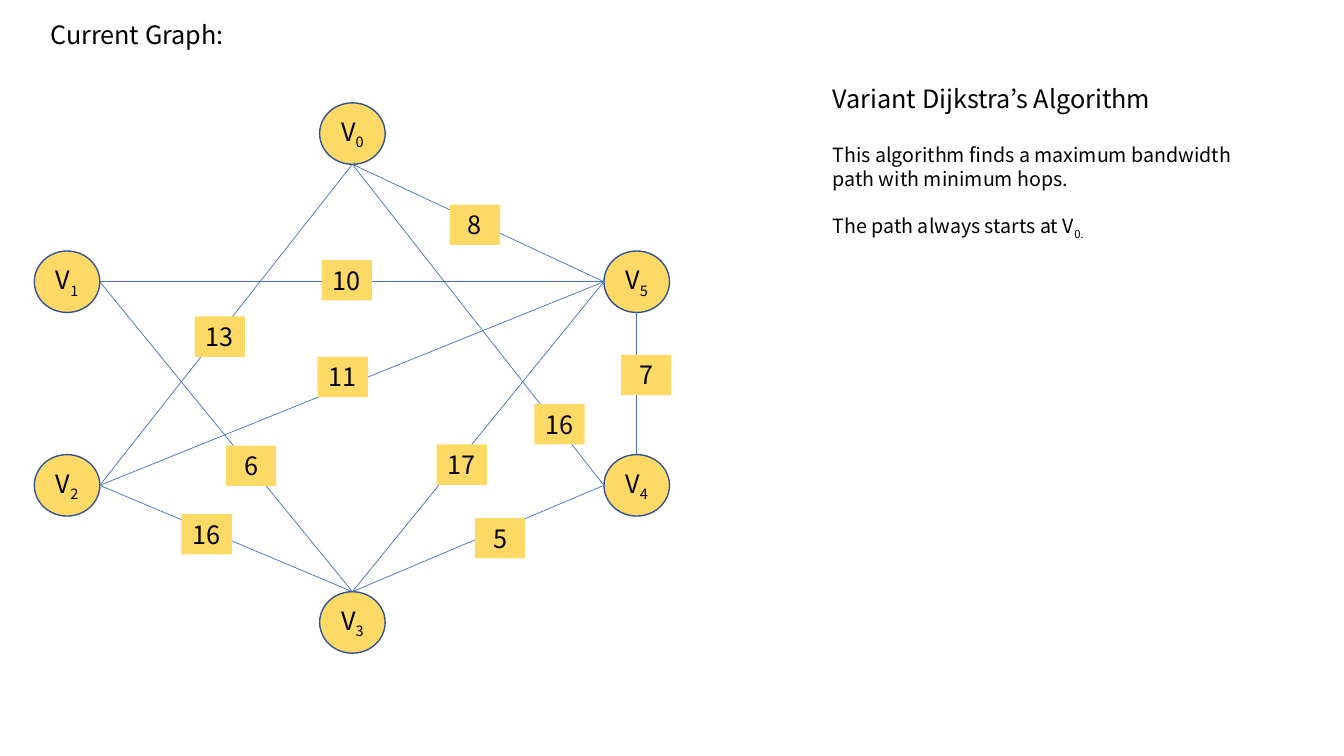
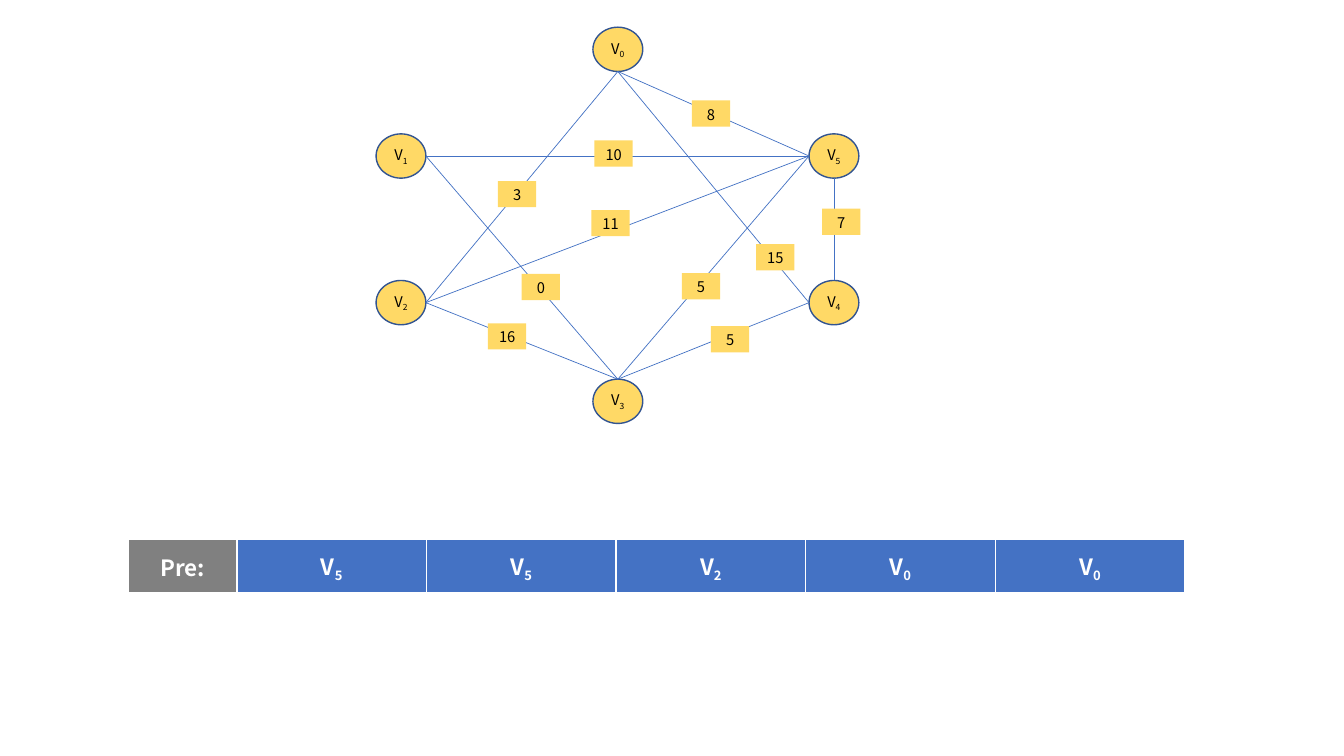
from lxml import etree
from pptx import Presentation
from pptx.dml.color import RGBColor
from pptx.enum.shapes import MSO_CONNECTOR, MSO_SHAPE
from pptx.enum.text import MSO_ANCHOR, MSO_AUTO_SIZE, PP_ALIGN
from pptx.oxml import parse_xml
from pptx.oxml.ns import nsdecls, qn
from pptx.util import Inches, Pt

OVAL = MSO_SHAPE.OVAL
STRAIGHT = MSO_CONNECTOR.STRAIGHT
MIDDLE = MSO_ANCHOR.MIDDLE
GROW = MSO_AUTO_SIZE.SHAPE_TO_FIT_TEXT
CENTER = PP_ALIGN.CENTER

FONT = "Noto Sans CJK JP"
YELLOW, OUTLINE, BLUE, GRAY = "FFD966", "325491", "4472C4", "808080"
BLACK, WHITE = "000000", "FFFFFF"


def paint(fill, color):
    fill.solid()
    fill.fore_color.rgb = RGBColor.from_string(color)


def write(para, text, subscript="", size=18, color=BLACK, bold=False):
    para.text = text
    if subscript:
        span = para.add_run()
        span.text = subscript
        span.font._element.set("baseline", "-25000")
    for span in para.runs:
        span.font.name = FONT
        span.font.size = Pt(size)
        span.font.bold = bold
        paint(span.font.fill, color)


# Graph layout, measured from the top left corner of the drawing
NODES = [(2.83, 0), (0, 1.47), (0, 3.49), (2.83, 4.85), (5.65, 3.49), (5.65, 1.47)]
# Points on a node's outline, as shares of its width and height
TOP, LEFT, BOTTOM, RIGHT = (0.5, 0), (0, 0.5), (0.5, 1), (1, 0.5)
# Each edge: start node and side, end node and side, corner of the weight label
EDGES = [
    (3, TOP, 2, RIGHT, 1.46, 4.08),
    (1, RIGHT, 3, TOP, 1.9, 3.4),
    (5, LEFT, 2, RIGHT, 2.81, 2.52),
    (0, BOTTOM, 2, RIGHT, 1.59, 2.12),
    (1, RIGHT, 5, LEFT, 2.85, 1.56),
    (4, TOP, 5, BOTTOM, 5.82, 2.5),
    (0, BOTTOM, 4, LEFT, 4.96, 2.99),
    (3, TOP, 5, LEFT, 3.99, 3.39),
    (3, TOP, 4, LEFT, 4.37, 4.12),
    (0, BOTTOM, 5, LEFT, 4.12, 1.01),
]
# Each graph: origin, scale across and down, text size, label height, weights
GRAPHS = [
    (0.34, 1.02, 1, 1, 18, 0.4, [16, 6, 11, 13, 10, 7, 16, 17, 5, 8]),
    (3.73, 0.27, 0.76, 0.72, 10.5, 0.26, [16, 0, 11, 3, 10, 7, 15, 5, 5, 8]),
]
NODE_WIDTH, NODE_HEIGHT, LABEL_WIDTH = 0.65, 0.61, 0.5

deck = Presentation()
deck.slide_width, deck.slide_height = Inches(13.33), Inches(7.5)
pages = [deck.slides.add_slide(deck.slide_layouts[6]) for _ in GRAPHS]

# Graph on each page
for page, graph in zip(pages, GRAPHS):
    left, top, across, down, size, label_height, weights = graph
    shapes = page.shapes.add_group_shape().shapes

    for number, (x, y) in enumerate(NODES):
        node = shapes.add_shape(
            OVAL, Inches(left + x * across), Inches(top + y * down),
            Inches(NODE_WIDTH * across), Inches(NODE_HEIGHT * down))
        node.shadow.inherit = False
        paint(node.fill, YELLOW)
        paint(node.line.fill, OUTLINE)
        node.line.width = Pt(1)
        frame = node.text_frame
        frame.word_wrap = False
        frame.vertical_anchor = MIDDLE
        write(frame.paragraphs[0], "V", str(number), size)
        frame.paragraphs[0].alignment = CENTER

    for start, start_side, end, end_side, _, _ in EDGES:
        ends = []
        for number, side in ((start, start_side), (end, end_side)):
            x, y = NODES[number]
            ends += [Inches(left + (x + side[0] * NODE_WIDTH) * across),
                     Inches(top + (y + side[1] * NODE_HEIGHT) * down)]
        edge = shapes.add_connector(STRAIGHT, *ends)
        paint(edge.line.fill, BLUE)
        edge.line.width = Pt(0.5)
        etree.SubElement(edge._element.spPr, qn("a:effectLst"))

    for (*_, x, y), weight in zip(EDGES, weights):
        label = shapes.add_textbox(
            Inches(left + x * across), Inches(top + y * down),
            Inches(LABEL_WIDTH * across), Inches(label_height))
        paint(label.fill, YELLOW)
        label.text_frame.word_wrap = True
        write(label.text_frame.paragraphs[0], str(weight), size=size)
        label.text_frame.paragraphs[0].alignment = CENTER

# Page 1: heading and explanation; each line has text, subscript, size, space before
HEADING = [("Current Graph:", "", 18, 0)]
EXPLANATION = [
    ("Variant Dijkstra’s Algorithm", "", 18, 0),
    ("This algorithm finds a maximum bandwidth path with minimum hops.", "", 14, 21),
    ("The path always starts at V", "0.", 14, 17),
]
for left, top, width, height, lines in [
    (0.4, 0.14, 2.34, 0.4, HEADING),
    (8.16, 0.78, 4.31, 1.65, EXPLANATION),
]:
    box = pages[0].shapes.add_textbox(
        Inches(left), Inches(top), Inches(width), Inches(height))
    frame = box.text_frame
    frame.word_wrap = True
    frame.auto_size = GROW
    for index, (text, subscript, size, space) in enumerate(lines):
        para = frame.add_paragraph() if index else frame.paragraphs[0]
        write(para, text, subscript, size)
        if space:
            para.space_before = Pt(space)

# Page 2: table of predecessors
CELLS = [("Pre:", "")] + [("V", number) for number in "55200"]
BORDERS = [("lnL", 1), ("lnR", 1), ("lnT", 1), ("lnB", 3)]
table = pages[1].shapes.add_table(
    1, len(CELLS), Inches(1.27), Inches(5.35), Inches(10.48), Inches(0.54)).table
for index, (text, subscript) in enumerate(CELLS):
    table.columns[index].width = Inches(1.88 if index else 1.08)
    cell = table.cell(0, index)
    cell.margin_left = cell.margin_right = cell.margin_top = Inches(0.01)
    cell.margin_bottom = 0
    cell.vertical_anchor = MIDDLE
    for tag, width in BORDERS:
        cell._tc.get_or_add_tcPr().append(parse_xml(
            f'<a:{tag} {nsdecls("a")} w="{Pt(width)}"><a:solidFill>'
            f'<a:srgbClr val="{WHITE}"/></a:solidFill></a:{tag}>'))
    paint(cell.fill, BLUE if index else GRAY)
    para = cell.text_frame.paragraphs[0]
    write(para, text, subscript, 16, WHITE, bold=True)
    para.alignment = CENTER

deck.save("out.pptx")
